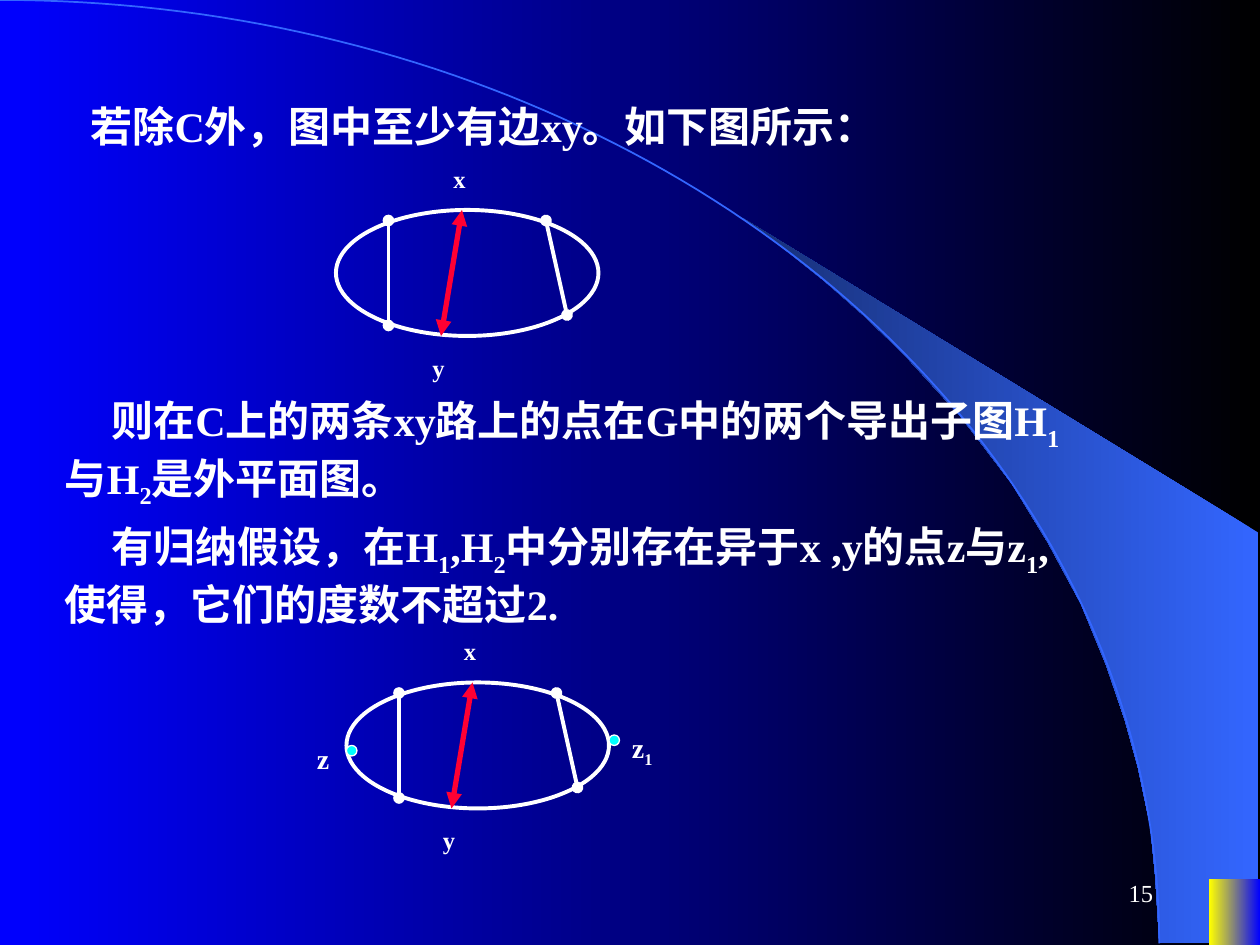
"""Build the slide on outerplanar graphs with two cycle diagrams."""
import math

from lxml import etree
from pptx import Presentation
from pptx import util as u
from pptx.dml.color import RGBColor
from pptx.enum import shapes, text
from pptx.oxml import ns

WHITE = RGBColor(0xFF, 0xFF, 0xFF)
BLACK = RGBColor(0, 0, 0)
BLUE = RGBColor(0, 0, 0xFF)
YELLOW = RGBColor(0xFF, 0xFF, 0)
RED = RGBColor(0xFF, 0, 0x33)
CYAN = RGBColor(0, 0xFF, 0xFF)
SKY = RGBColor(0x33, 0x66, 0xFF)
NAVY = RGBColor(0x17, 0x2F, 0x75)

GRID = 2.54 / 12
FONT = {"name": "Times New Roman", "bold": True}
BODY = {**FONT, "size": u.Pt(24)}
VERTEX = {**FONT, "size": u.Pt(14)}
POINT = {**FONT, "size": u.Pt(16)}
NUMBER = {**VERTEX, "bold": False}

# Runs at odd positions are subscripts.
PARAGRAPHS = [
    ((3, 9, 100, 6), ["若除C外，图中至少有边xy。如下图所示："]),
    ((5, 37, 100, 11.5), ["则在C上的两条xy路上的点在G中的两个导出子图H", "1", "与H", "2",
                          "是外平面图。"]),
    ((5, 49, 100, 12), ["有归纳假设，在H", "1", ",H", "2", "中分别存在异于x ,y的点z与z", "1",
                        ",使得，它们的度数不超过2."]),
]
CHORDS = [
    ((12, 0), (10, 12), RED, 3, "triangle"),
    ((5, 1), (5, 11), WHITE, 2.25, "oval"),
    ((20, 1), (22, 10), WHITE, 2.25, "oval"),
]
VERTEX_LABELS = [((10, -5, 8.2, 4), ["x"], VERTEX), ((8, 13, 8.2, 4), ["y"], VERTEX)]
POINT_LABELS = [((-4, 5, 5.2, 4.4), ["z"], POINT), ((26, 4, 5.2, 5), ["z", "1"], POINT)]
DIAGRAMS = [
    ((32, 20), VERTEX_LABELS, []),
    ((33, 65), VERTEX_LABELS + POINT_LABELS, [(0, 6), (25, 5)]),
]
BAND = [
    (23.37, 19), (25.37, 19.02), (25.37, 10.74), (14.96, 4.39), (15.85, 5.05),
    (16.59, 5.64), (17.4, 6.35), (18.19, 7.11), (19.35, 8.38), (20.4, 9.75),
    (21.13, 10.95), (21.79, 12.17), (22.3, 13.41), (22.68, 14.53), (22.94, 15.47),
    (23.19, 16.66), (23.29, 17.68),
]
ARC_WIDTH, ARC_HEIGHT, ARC_STEPS = 23.37, 19.02, 90


def grid(*values):
    return [u.Cm(value * GRID) for value in values]


def paint_gradient(fill, start, end):
    fill.gradient()
    fill.gradient_angle = 180
    for stop, color in zip(fill.gradient_stops, (start, end)):
        stop.color.rgb = color


def set_line(line, color, width):
    line.color.rgb = color
    line.width = u.Pt(width)


def add_outline(page, points, close):
    start, *rest = [(u.Cm(x), u.Cm(y)) for x, y in points]
    builder = page.shapes.build_freeform(*start)
    builder.add_line_segments(rest, close=close)
    outline = builder.convert_to_shape()
    outline.shadow.inherit = False
    return outline


def add_text(parent, place, runs, style, align=text.PP_ALIGN.LEFT, indent=0):
    box = parent.add_textbox(*grid(*place))
    frame = box.text_frame
    frame.word_wrap = True
    para = frame.paragraphs[0]
    para.alignment = align
    if indent:
        para._p.get_or_add_pPr().set("indent", str(u.Cm(indent)))
    for index, words in enumerate(runs):
        span = para.add_run()
        span.text = words
        for key, value in style.items():
            setattr(span.font, key, value)
        span.font.color.rgb = WHITE
        if index % 2:
            span.font._element.set("baseline", "-25000")
    return frame


def add_ellipse(parent, place, width, fill=None):
    ellipse = parent.add_shape(shapes.MSO_SHAPE.OVAL, *grid(*place))
    ellipse.shadow.inherit = False
    if fill is None:
        ellipse.fill.background()
    else:
        ellipse.fill.solid()
        ellipse.fill.fore_color.rgb = fill
    set_line(ellipse.line, WHITE, width)


def add_chord(parent, start, end, color, width, tip):
    chord = parent.add_connector(shapes.MSO_CONNECTOR.STRAIGHT, *grid(*start, *end))
    set_line(chord.line, color, width)
    outline = chord.line._get_or_add_ln()
    for side in ("a:headEnd", "a:tailEnd"):
        etree.SubElement(outline, ns.qn(side), type=tip)
    etree.SubElement(chord._element.spPr, ns.qn("a:effectLst"))


def add_diagram(page, origin, labels, dots):
    left, top = origin
    group = page.shapes.add_group_shape().shapes
    add_ellipse(group, (left, top, 25, 12), 2.25)
    for start, end, *look in CHORDS:
        ends = [(left + x, top + y) for x, y in (start, end)]
        add_chord(group, *ends, *look)
    for x, y in dots:
        add_ellipse(group, (left + x, top + y, 1, 1), 0.75, CYAN)
    for (x, y, *size), runs, style in labels:
        add_text(group, (left + x, top + y, *size), runs, style)


def add_backdrop(page):
    paint_gradient(page.background.fill, BLACK, BLUE)
    band = add_outline(page, BAND, True)
    paint_gradient(band.fill, SKY, NAVY)
    band.line.fill.background()
    angles = [math.pi / 2 * step / ARC_STEPS for step in range(ARC_STEPS + 1)]
    curve = [(ARC_WIDTH * math.sin(a), ARC_HEIGHT * (1 - math.cos(a))) for a in angles]
    arc = add_outline(page, curve, False)
    arc.fill.background()
    set_line(arc.line, SKY, 1)
    corner = page.shapes.add_shape(
        shapes.MSO_SHAPE.RECTANGLE, u.Cm(24.38), u.Cm(17.73), u.Cm(1.02), u.Cm(1.32))
    corner.shadow.inherit = False
    paint_gradient(corner.fill, BLUE, YELLOW)
    corner.line.fill.background()


def main():
    deck = Presentation()
    deck.slide_width, deck.slide_height = u.Cm(25.4), u.Cm(19.05)
    page = deck.slides.add_slide(deck.slide_layouts[6])
    add_backdrop(page)
    for place, runs in PARAGRAPHS:
        add_text(page.shapes, place, runs, BODY, indent=0.94)
    for diagram in DIAGRAMS:
        add_diagram(page, *diagram)
    number = add_text(page.shapes, (86, 82, 25, 6), ["15"], NUMBER, text.PP_ALIGN.RIGHT)
    number.vertical_anchor = text.MSO_ANCHOR.MIDDLE
    deck.save("out.pptx")


if __name__ == "__main__":
    main()
